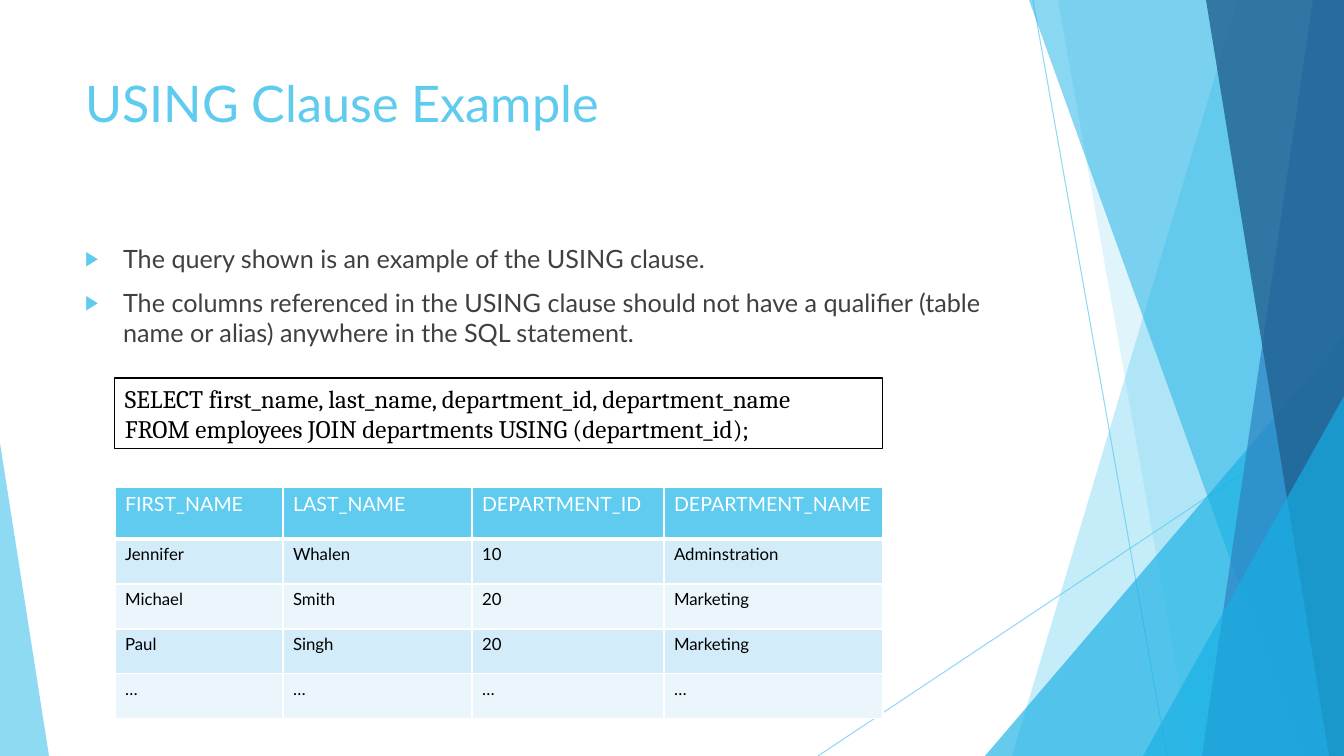
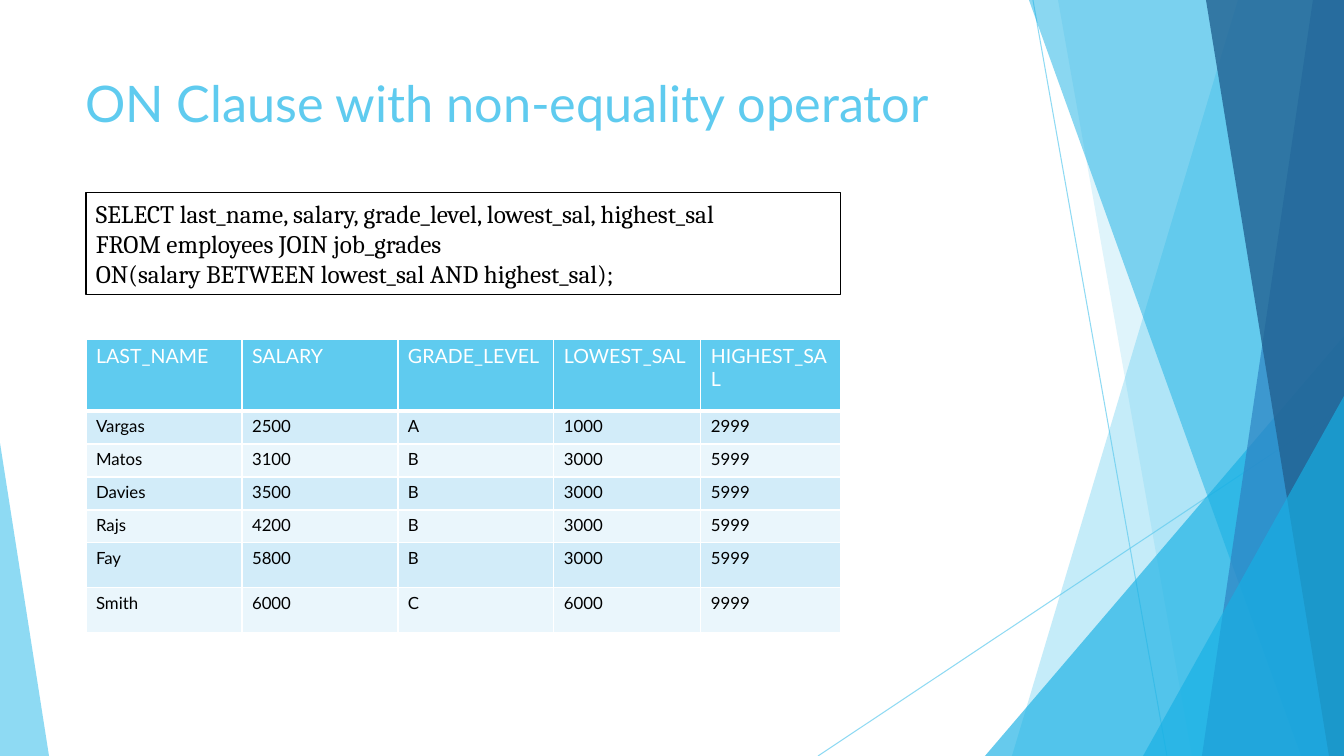
"""Two slides on SQL join clauses, with a faceted background on the master."""
from lxml.etree import SubElement
from pptx import Presentation
from pptx.dml.color import RGBColor
from pptx.enum.shapes import MSO_CONNECTOR, MSO_SHAPE
from pptx.enum.text import MSO_ANCHOR, MSO_AUTO_SIZE, PP_ALIGN
from pptx.oxml.ns import qn
from pptx.util import Emu, Pt

STRAIGHT = MSO_CONNECTOR.STRAIGHT
TRIANGLE = MSO_SHAPE.ISOSCELES_TRIANGLE
LEFT = PP_ALIGN.LEFT
TOP = MSO_ANCHOR.TOP
NO_FIT = MSO_AUTO_SIZE.NONE
GROW = MSO_AUTO_SIZE.SHAPE_TO_FIT_TEXT

WIDTH, HEIGHT = 1344, 756
SCALE = 12192000 / WIDTH
TITLE_AND_CONTENT, TITLE_ONLY = 1, 5

SKY = RGBColor(0x5F, 0xCB, 0xEF)
CYAN = RGBColor(0x17, 0xB0, 0xE4)
BLUE = RGBColor(0x2E, 0x83, 0xC3)
NAVY = RGBColor(0x22, 0x62, 0x92)
GRAY = RGBColor(0x40, 0x40, 0x40)
BLACK = RGBColor(0, 0, 0)
WHITE = RGBColor(0xFF, 0xFF, 0xFF)
BANDS = RGBColor(0xD2, 0xEC, 0xF9), RGBColor(0xEA, 0xF6, 0xFC)

SANS, SERIF = "Lato", "Cambria"


def px(*lengths):
    """Turn pixel lengths into a list of EMU."""
    return [Emu(round(n * SCALE)) for n in lengths]


def add_run(p, text, size, color, font=SANS):
    """Add a formatted run to a paragraph."""
    r = p.add_run()
    r.text = text
    r.font.name, r.font.size, r.font.bold = font, Pt(size), False
    r.font.color.rgb = color


def place(shape, x, y, w, h):
    """Move and size a placeholder, with its text at the top."""
    shape.left, shape.top, shape.width, shape.height = px(x, y, w, h)
    tf = shape.text_frame
    tf.auto_size, tf.vertical_anchor, tf.word_wrap = NO_FIT, TOP, True
    return tf


def set_alpha(shape, percent):
    """Make the colour of a shape or connector see-through."""
    color = shape.element.spPr.find(".//" + qn("a:srgbClr"))
    SubElement(color, qn("a:alpha"), val=str(percent * 1000))


def paint(shape, color, percent):
    """Give a facet a translucent fill without line or shadow."""
    shape.shadow.inherit = False
    shape.fill.solid()
    shape.fill.fore_color.rgb = color
    shape.line.fill.background()
    set_alpha(shape, percent)


def add_thin_line(s, x1, y1, x2, y2):
    """Add a fine translucent line."""
    line = s.shapes.add_connector(STRAIGHT, *px(x1, y1, x2, y2))
    line.line.color.rgb = SKY
    line.line.width = Pt(0.75)
    set_alpha(line, 70)
    SubElement(line.element.spPr, qn("a:effectLst"))


def add_facet(s, top_x, bottom_x, color, percent):
    """Add a facet from a slanted left side to the slide's right edge."""
    builder = s.shapes.build_freeform(top_x, 0, scale=SCALE)
    builder.add_line_segments([(WIDTH, 0), (WIDTH, HEIGHT), (bottom_x, HEIGHT)])
    paint(builder.convert_to_shape(), color, percent)


def add_corner(s, x, y, w, apex, color, percent):
    """Add a right triangle that stands on the bottom edge."""
    corner = s.shapes.add_shape(TRIANGLE, *px(x, y, w, HEIGHT - y))
    corner.adjustments[0] = apex
    paint(corner, color, percent)


def add_background(prs, s):
    """Draw the facets on a slide and move them to the back of the master."""
    first = len(s.shapes)
    add_thin_line(s, 1033, 0, 1167, HEIGHT)
    add_thin_line(s, WIDTH, 406, 818, HEIGHT)
    add_facet(s, 1238, 1012, SKY, 36)
    add_facet(s, 1058, 1192, SKY, 20)
    add_corner(s, 985, 336, 359, 1, CYAN, 66)
    add_facet(s, 1029, 1301, CYAN, 50)
    add_facet(s, 1313, 1202, BLUE, 70)
    add_facet(s, 1206, 1329, NAVY, 80)
    add_corner(s, 1143, 396, 201, 1, CYAN, 66)
    add_corner(s, 0, 443, 49, 0, SKY, 70)
    tree = prs.slide_master.shapes.element
    for i, shape in enumerate(list(s.shapes)[first:]):
        shape.element.find(".//" + qn("p:cNvPr")).set("id", str(100 + i))
        tree.insert(2 + i, shape.element)


def add_slide(prs, layout, title):
    """Add a slide with its title."""
    s = prs.slides.add_slide(prs.slide_layouts[layout])
    p = place(s.shapes.title, 75, 67, 948, 145).paragraphs[0]
    p.alignment = LEFT
    add_run(p, title, 36, SKY)
    return s


def add_bullet(p):
    """Give a paragraph a hanging arrow bullet."""
    pPr = p._p.get_or_add_pPr()
    indent = px(38)[0]
    pPr.set("marL", str(indent))
    pPr.set("indent", str(-indent))
    SubElement(SubElement(pPr, qn("a:buClr")), qn("a:srgbClr"), val=str(SKY))
    SubElement(pPr, qn("a:buSzPct"), val="80000")
    SubElement(pPr, qn("a:buFont"), typeface="Arial")
    SubElement(pPr, qn("a:buChar"), char="▶")


def fill_body(s, items):
    """Fill the body placeholder with a bulleted list."""
    tf = place(s.placeholders[1], 75, 238, 948, 427)
    for i, item in enumerate(items):
        p = tf.add_paragraph() if i else tf.paragraphs[0]
        add_bullet(p)
        p.space_before = Pt(10 if i else 0)
        add_run(p, item, 18, GRAY)


def add_code(s, x, y, w, h, lines):
    """Add a framed box of code."""
    box = s.shapes.add_textbox(*px(x, y, w, h))
    box.line.color.rgb = BLACK
    box.line.width = Pt(0.75)
    tf = box.text_frame
    tf.word_wrap, tf.auto_size = True, GROW
    for i, line in enumerate(lines):
        p = tf.add_paragraph() if i else tf.paragraphs[0]
        add_run(p, line, 18, BLACK, SERIF)


def add_borders(cell, bottom):
    """Give a cell white borders, with its own bottom width in points."""
    tcPr = cell._tc.get_or_add_tcPr()
    for side, width in zip("LRTB", (1, 1, 1, bottom)):
        ln = SubElement(tcPr, qn("a:ln" + side), w=str(Pt(width)))
        fill = SubElement(ln, qn("a:solidFill"))
        SubElement(fill, qn("a:srgbClr"), val=str(WHITE))


def add_grid(s, x, y, widths, heights, rows):
    """Add a banded table whose first row is the header."""
    frame = px(x, y, sum(widths), sum(heights))
    table = s.shapes.add_table(len(rows), len(widths), *frame).table
    for column, width in zip(table.columns, px(*widths)):
        column.width = width
    for i, (height, row) in enumerate(zip(px(*heights), rows)):
        table.rows[i].height = height
        size, color, fill, bottom = (
            (12, BLACK, BANDS[(i - 1) % 2], 1) if i else (14, WHITE, SKY, 3))
        for j, text in enumerate(row):
            cell = table.cell(i, j)
            add_borders(cell, bottom)
            cell.fill.solid()
            cell.fill.fore_color.rgb = fill
            add_run(cell.text_frame.paragraphs[0], text, size, color)


def build_using_slide(prs):
    """Build the slide on the USING clause."""
    s = add_slide(prs, TITLE_AND_CONTENT, "USING Clause Example")
    fill_body(s, [
        "The query shown is an example of the USING clause.",
        "The columns referenced in the USING clause should not have a "
        "qualifier (table name or alias) anywhere in the SQL statement.",
    ])
    add_code(s, 115, 378, 768, 71, [
        "SELECT first_name, last_name, department_id, department_name",
        "FROM employees JOIN departments USING (department_id);",
    ])
    add_grid(s, 115, 487, [168, 189, 192, 219], [52] + [45] * 4, [
        ("FIRST_NAME", "LAST_NAME", "DEPARTMENT_ID", "DEPARTMENT_NAME"),
        ("Jennifer", "Whalen", "10", "Adminstration"),
        ("Michael", "Smith", "20", "Marketing"),
        ("Paul", "Singh", "20", "Marketing"),
        ("…",) * 4,
    ])
    return s


def build_on_slide(prs):
    """Build the slide on the ON clause."""
    s = add_slide(prs, TITLE_ONLY, "ON Clause with non-equality operator")
    add_code(s, 86, 193, 755, 102, [
        "SELECT last_name, salary, grade_level, lowest_sal, highest_sal",
        "FROM employees JOIN job_grades",
        "ON(salary BETWEEN lowest_sal AND highest_sal);",
    ])
    heights = [72] + [33] * 4 + [45] * 2
    add_grid(s, 86, 339, [156, 156, 156, 147, 140], heights, [
        ("LAST_NAME", "SALARY", "GRADE_LEVEL", "LOWEST_SAL", "HIGHEST_SAL"),
        ("Vargas", "2500", "A", "1000", "2999"),
        ("Matos", "3100", "B", "3000", "5999"),
        ("Davies", "3500", "B", "3000", "5999"),
        ("Rajs", "4200", "B", "3000", "5999"),
        ("Fay", "5800", "B", "3000", "5999"),
        ("Smith", "6000", "C", "6000", "9999"),
    ])


def main():
    """Build and save the presentation."""
    prs = Presentation()
    prs.slide_width, prs.slide_height = px(WIDTH, HEIGHT)
    s = build_using_slide(prs)
    add_background(prs, s)
    build_on_slide(prs)
    prs.save("out.pptx")


if __name__ == "__main__":
    main()
